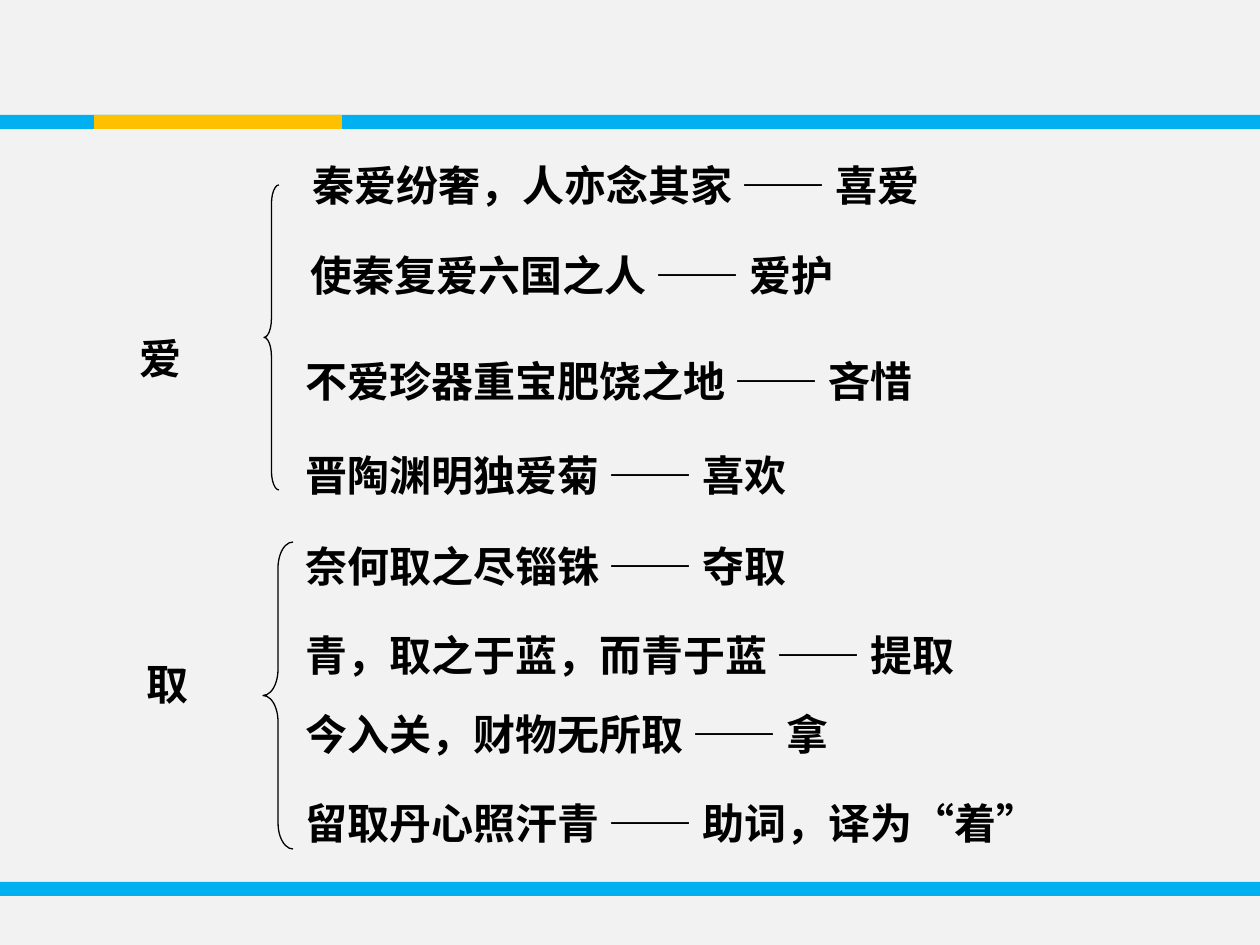
from dataclasses import dataclass

from lxml.etree import SubElement
from pptx import Presentation
from pptx.dml.color import RGBColor
from pptx.enum.lang import MSO_LANGUAGE_ID
from pptx.enum.shapes import MSO_SHAPE
from pptx.enum.text import MSO_ANCHOR, PP_ALIGN
from pptx.oxml.ns import qn
from pptx.util import Emu, Pt


@dataclass(frozen=True)
class Theme:
    back: str = "F2F2F2"
    blue: str = "00B0F0"
    gold: str = "FFC000"
    ink: str = "000000"
    font: str = "Noto Sans CJK SC"
    size: int = 24
    line: float = 0.75


@dataclass(frozen=True)
class Box:
    left: int
    top: int
    width: int
    height: int


@dataclass(frozen=True)
class Bar:
    box: Box
    fill: str


@dataclass(frozen=True)
class Row:
    text: str
    box: Box


@dataclass(frozen=True)
class Group:
    word: Row
    brace: Box
    curve: float
    rows: tuple[Row, ...]


THEME = Theme()
SCALE = 914400 / 126  # EMU in one px
WIDE, HIGH = 1260, 945

BARS = (
    Bar(Box(0, 882, WIDE, 14), THEME.blue),
    Bar(Box(0, 115, WIDE, 14), THEME.blue),
    Bar(Box(94, 115, 248, 14), THEME.gold),
)

GROUPS = (
    Group(
        Row("爱", Box(126, 288, 69, 139)), Box(264, 185, 15, 305), 1.27,
        (
            Row("秦爱纷奢，人亦念其家 —— 喜爱", Box(300, 153, 674, 63)),
            Row("使秦复爱六国之人 —— 爱护", Box(298, 243, 674, 63)),
            Row("不爱珍器重宝肥饶之地 —— 吝惜", Box(293, 337, 674, 87)),
            Row("晋陶渊明独爱菊 —— 喜欢", Box(293, 443, 674, 63)),
        ),
    ),
    Group(
        Row("取", Box(105, 621, 126, 126)), Box(263, 542, 30, 307), 0.87,
        (
            Row("奈何取之尽锱铢 —— 夺取", Box(293, 503, 760, 126)),
            Row("青，取之于蓝，而青于蓝 —— 提取", Box(293, 592, 760, 126)),
            Row("今入关，财物无所取 —— 拿", Box(293, 671, 760, 126)),
            Row("留取丹心照汗青 —— 助词，译为“着”", Box(293, 760, 760, 126)),
        ),
    ),
)


def px(count: int) -> Emu:
    return Emu(round(count * SCALE))


def place(box: Box) -> tuple[Emu, ...]:
    return px(box.left), px(box.top), px(box.width), px(box.height)


def write(slide, text: str, box: Box, *, size: int = THEME.size,
          color: str = THEME.ink, bold: bool = True,
          align: PP_ALIGN = PP_ALIGN.LEFT) -> None:
    frame = slide.shapes.add_textbox(*place(box)).text_frame
    frame.word_wrap = False
    frame.vertical_anchor = MSO_ANCHOR.MIDDLE
    para = frame.paragraphs[0]
    para.alignment = align
    run = para.add_run()
    run.text = text
    font = run.font
    font.size, font.bold, font.name = Pt(size), bold, THEME.font
    font.color.rgb = RGBColor.from_string(color)
    font.language_id = MSO_LANGUAGE_ID.SIMPLIFIED_CHINESE
    # Chinese glyphs take their face from a:ea
    SubElement(run._r.get_or_add_rPr(), qn("a:ea")).set("typeface", THEME.font)


def draw_bar(slide, bar: Bar) -> None:
    shape = slide.shapes.add_shape(MSO_SHAPE.RECTANGLE, *place(bar.box))
    shape.shadow.inherit = False
    shape.fill.solid()
    shape.fill.fore_color.rgb = RGBColor.from_string(bar.fill)
    shape.line.fill.background()


def draw_brace(slide, box: Box, curve: float) -> None:
    shape = slide.shapes.add_shape(MSO_SHAPE.LEFT_BRACE, *place(box))
    shape.shadow.inherit = False
    shape.adjustments[0] = curve
    shape.fill.background()
    shape.line.color.rgb = RGBColor.from_string(THEME.ink)
    shape.line.width = Pt(THEME.line)


def draw_group(slide, group: Group) -> None:
    write(slide, group.word.text, group.word.box, align=PP_ALIGN.CENTER)
    draw_brace(slide, group.brace, group.curve)
    for row in group.rows:
        write(slide, row.text, row.box)


def main() -> None:
    deck = Presentation()
    deck.slide_width, deck.slide_height = px(WIDE), px(HIGH)
    slide = deck.slides.add_slide(deck.slide_layouts[6])

    # Background and bars
    fill = slide.background.fill
    fill.solid()
    fill.fore_color.rgb = RGBColor.from_string(THEME.back)
    for bar in BARS:
        draw_bar(slide, bar)

    # Each word with its brace and examples
    for group in GROUPS:
        draw_group(slide, group)

    deck.save("out.pptx")


if __name__ == "__main__":
    main()
